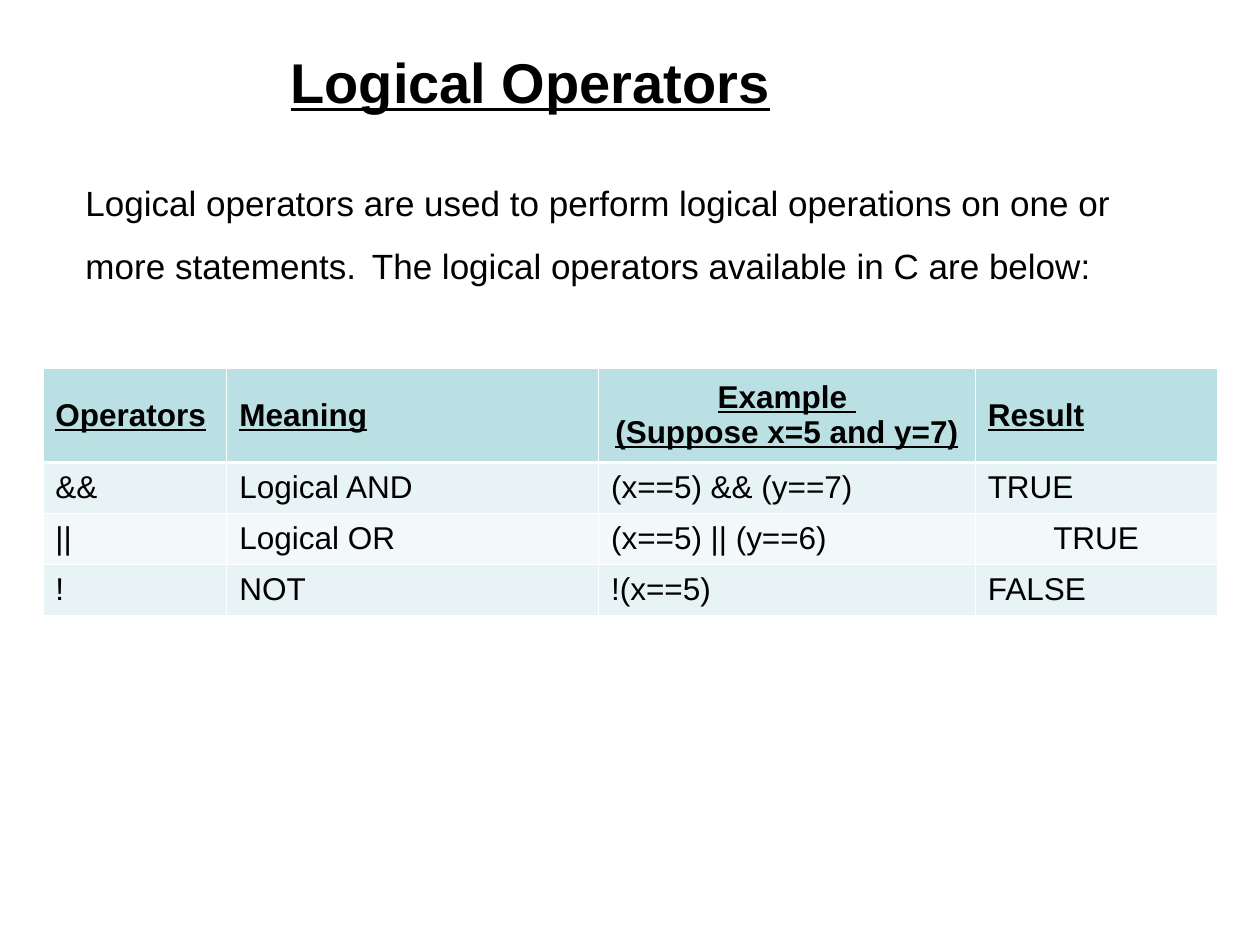
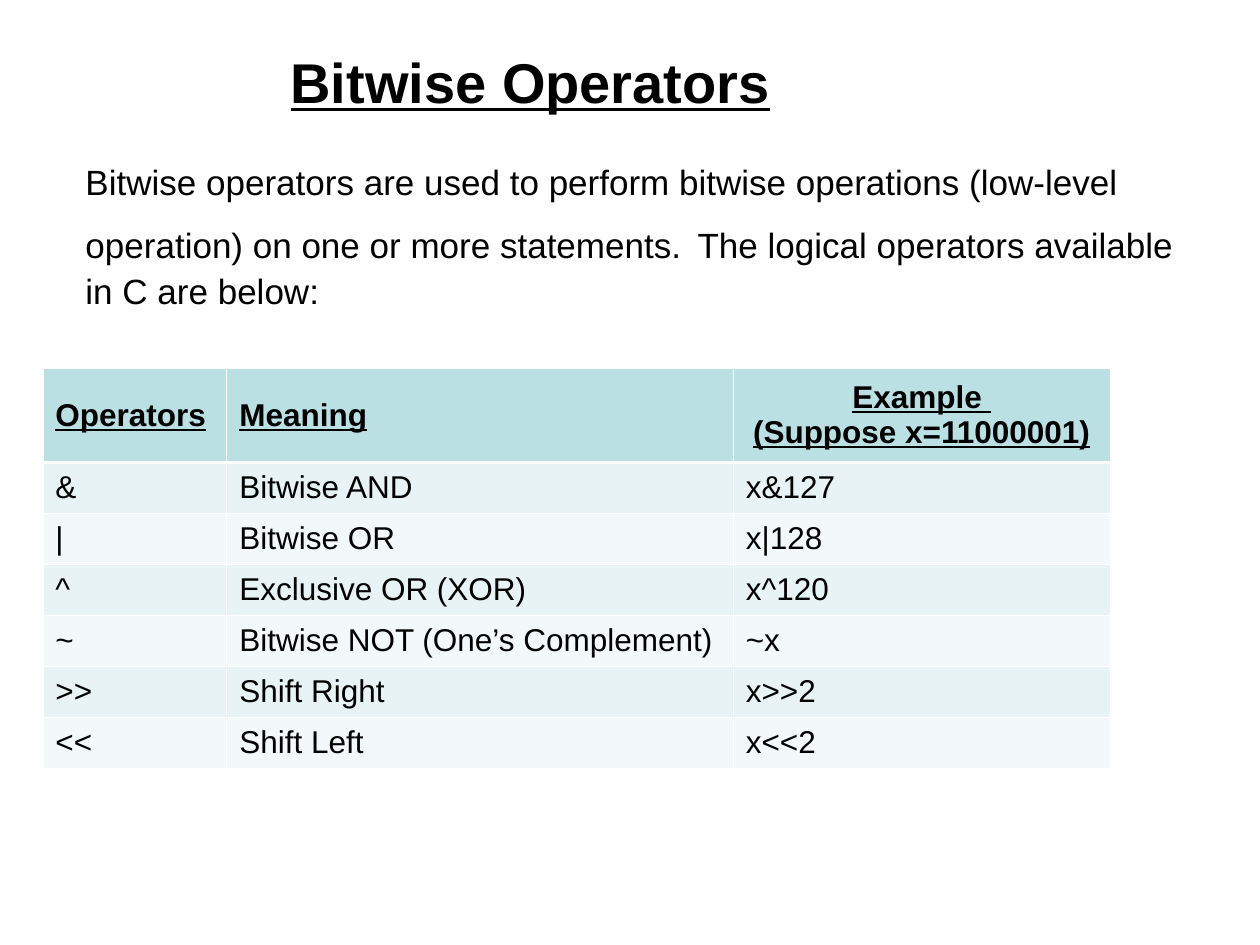
from lxml.etree import SubElement
from pptx import Presentation
from pptx.dml.color import RGBColor
from pptx.enum.text import MSO_ANCHOR as Anchor, MSO_AUTO_SIZE as Fit, PP_ALIGN as Align
from pptx.oxml.ns import qn
from pptx.util import Inches, Pt

BLACK = RGBColor(0x00, 0x00, 0x00)
WHITE = RGBColor(0xFF, 0xFF, 0xFF)
HEAD = RGBColor(0xBB, 0xE0, 0xE3)
BANDS = RGBColor(0xE7, 0xF3, 0xF4), RGBColor(0xF3, 0xF9, 0xFA)
FACE = "Arial"
THIN, THICK = Pt(0.45), Pt(1.47)

# Boxes: left, top, width, height
TITLE_BOX = [Inches(n) for n in (1.75, 0.17, 4.92, 0.95)]
INTRO_BOX = [Inches(n) for n in (0.58, 1.25, 8.92, 1.25)]
GRID_AT = Inches(0.34), Inches(2.92)
HEAD_H = Inches(0.75)
ROW_H = Inches(0.81) // 2

CLOSING = "The logical operators available in C are below:"

LOGICAL = dict(
    title="Logical Operators",
    intro="Logical operators are used to perform logical operations "
          "on one or more statements.",
    widths=(1.46, 2.95, 2.99, 1.92),
    rows=[
        ("Operators", "Meaning", "Example \n(Suppose x=5 and y=7)", "Result"),
        ("&&", "Logical AND", "(x==5) && (y==7)", "TRUE"),
        ("||", "Logical OR", "(x==5) || (y==6)", "TRUE"),
        ("!", "NOT", "!(x==5)", "FALSE"),
    ],
    centred={(0, 2), (2, 3)},
)
BITWISE = dict(
    title="Bitwise Operators",
    intro="Bitwise operators are used to perform bitwise operations "
          "(low-level operation) on one or more statements.",
    widths=(1.46, 4.02, 2.99),
    rows=[
        ("Operators", "Meaning", "Example \n(Suppose x=11000001)"),
        ("&", "Bitwise AND", "x&127"),
        ("|", "Bitwise OR", "x|128"),
        ("^", "Exclusive OR (XOR)", "x^120"),
        ("~", "Bitwise NOT (One’s Complement)", "~x"),
        (">>", "Shift Right", "x>>2"),
        ("<<", "Shift Left", "x<<2"),
    ],
    centred={(0, 2)},
)


def style(font, size, strong=False):
    font.name, font.size = FACE, Pt(size)
    font.color.rgb = BLACK
    font.bold = font.underline = strong


def place(shape, box):
    shape.left, shape.top, shape.width, shape.height = box


def add_title(slide, text, box):
    title = slide.shapes.title
    place(title, box)
    frame = title.text_frame
    frame.text = text
    frame.auto_size = Fit.NONE
    frame.vertical_anchor = Anchor.MIDDLE
    par = frame.paragraphs[0]
    par.alignment = Align.CENTER
    style(par.font, 32, True)


def add_intro(slide, text, box):
    frame = slide.shapes.add_textbox(*box).text_frame
    frame.word_wrap = True
    frame.vertical_anchor = Anchor.MIDDLE
    par = frame.paragraphs[0]
    # The larger space opens up the line it falls on
    for part, size in ((text, 20), (" ", 32), (CLOSING, 20)):
        run = par.add_run()
        run.text = part
        style(run.font, size)


def add_edges(cell, row):
    props = cell._tc.get_or_add_tcPr()
    edges = {"L": THIN, "R": THIN,
             "T": THICK if row == 1 else THIN,
             "B": THICK if row == 0 else THIN}
    for spot, (side, width) in enumerate(edges.items()):
        line = SubElement(props, qn(f"a:ln{side}"), w=str(width))
        fill = SubElement(line, qn("a:solidFill"))
        SubElement(fill, qn("a:srgbClr"), val=str(WHITE))
        props.insert(spot, line)


def fill_cell(cell, text, row, centred):
    cell.text = text
    cell.vertical_anchor = Anchor.MIDDLE
    cell.fill.solid()
    cell.fill.fore_color.rgb = BANDS[(row - 1) % 2] if row else HEAD
    add_edges(cell, row)
    for par in cell.text_frame.paragraphs:
        par.alignment = Align.CENTER if centred else Align.LEFT
        style(par.font, 18, row == 0)


def add_grid(slide, rows, widths, centred, left, top):
    high = HEAD_H + ROW_H * (len(rows) - 1)
    table = slide.shapes.add_table(
        len(rows), len(widths), left, top, Inches(sum(widths)), high).table
    for col, width in zip(table.columns, widths):
        col.width = Inches(width)
    for r, texts in enumerate(rows):
        table.rows[r].height = ROW_H if r else HEAD_H
        for c, text in enumerate(texts):
            fill_cell(table.cell(r, c), text, r, (r, c) in centred)


def add_page(deck, title, intro, widths, rows, centred):
    slide = deck.slides.add_slide(deck.slide_layouts[5])
    add_title(slide, title, TITLE_BOX)
    add_grid(slide, rows, widths, centred, *GRID_AT)
    add_intro(slide, intro, INTRO_BOX)


def main():
    deck = Presentation()
    deck.slide_width, deck.slide_height = Inches(10), Inches(7.5)
    for page in (LOGICAL, BITWISE):
        add_page(deck, **page)
    deck.save("out.pptx")


if __name__ == "__main__":
    main()
